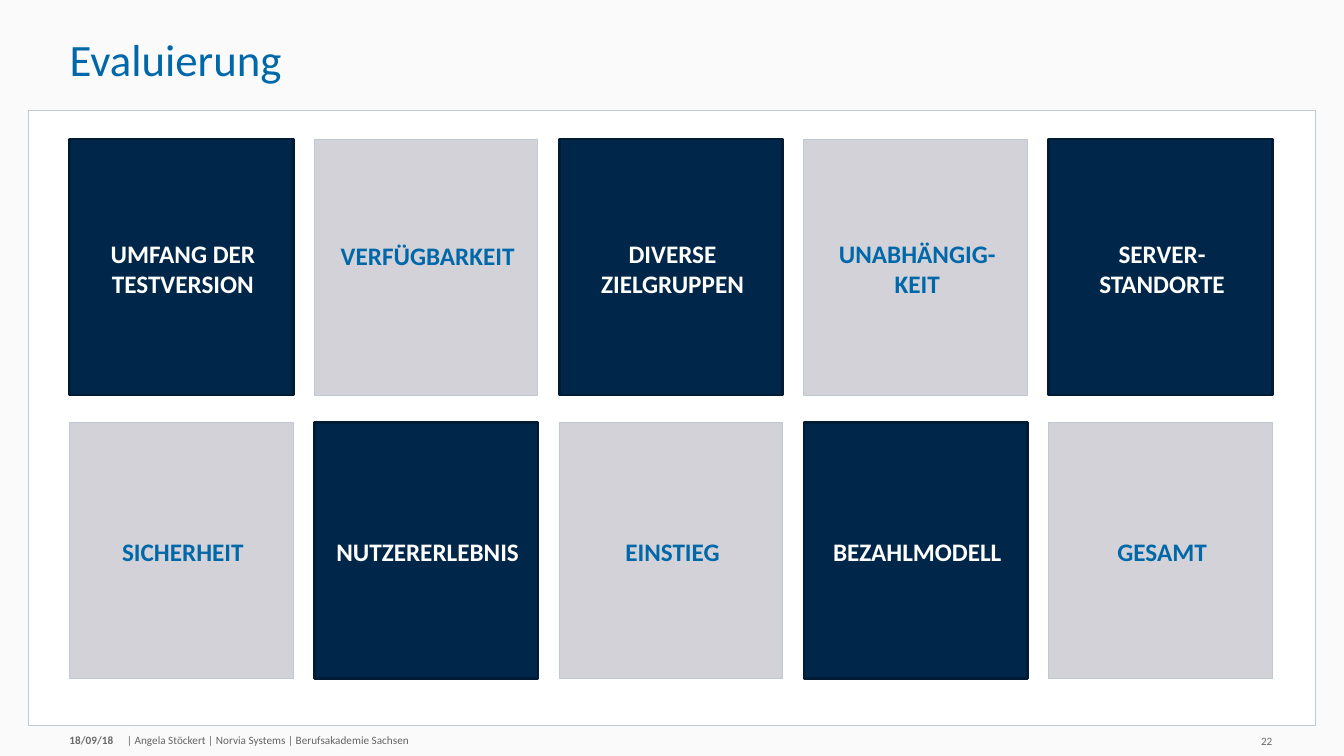
from dataclasses import dataclass

from pptx import Presentation
from pptx.dml.color import RGBColor
from pptx.enum.shapes import MSO_SHAPE
from pptx.enum.text import MSO_ANCHOR, PP_ALIGN
from pptx.util import Inches, Pt

RECT = MSO_SHAPE.RECTANGLE
MIDDLE = MSO_ANCHOR.MIDDLE
LEFT, CENTER, RIGHT = PP_ALIGN.LEFT, PP_ALIGN.CENTER, PP_ALIGN.RIGHT
TITLE_ONLY = 5


@dataclass(frozen=True)
class Theme:
    font: str = "Calibri"
    background: str = "FAFAFA"
    white: str = "FFFFFF"
    border: str = "BFC9D2"
    blue: str = "0068A9"
    navy: str = "002749"
    navy_border: str = "001C35"
    grey: str = "D3D2D8"
    date: str = "686868"
    author: str = "646464"
    title_size: int = 32
    tile_size: int = 18
    footer_size: int = 8


@dataclass(frozen=True)
class Grid:
    left: float = 0.69
    top: float = 1.38
    width: float = 2.22
    height: float = 2.54
    col_step: float = 2.43
    row_step: float = 2.81

    def cell(self, row, col):
        return (self.left + col * self.col_step, self.top + row * self.row_step,
                self.width, self.height)


THEME = Theme()
GRID = Grid()
TILE_INSETS = (0.17, 0.17, 0.14, 0.14)
RAISED_INSETS = (0.17, 0.17, 0.14, 0.4)
TILES = [
    [["UMFANG DER TESTVERSION"], ["VERFÜGBARKEIT"], ["DIVERSE ZIELGRUPPEN"],
     ["UNABHÄNGIG-", "KEIT"], ["SERVER-", "STANDORTE"]],
    [["SICHERHEIT"], ["NUTZERERLEBNIS"], ["EINSTIEG"], ["BEZAHLMODELL"], ["GESAMT"]],
]
FOOTER = [
    ((0.69, 7.28, 0.56, 0.13), "18/09/18", THEME.date, True, LEFT),
    ((1.26, 7.28, 4.67, 0.13), "| Angela Stöckert | Norvia Systems | Berufsakademie Sachsen",
     THEME.author, False, LEFT),
    ((12.32, 7.29, 0.31, 0.13), "22", THEME.date, False, RIGHT),
]


def inches(values):
    return [Inches(v) for v in values]


def set_text(sp, lines, size, color, bold=False, align=LEFT, insets=(0, 0, 0, 0), spacing=1.0):
    tf = sp.text_frame
    left, top, right, bottom = inches(insets)
    frame = {"word_wrap": True, "vertical_anchor": MIDDLE, "margin_left": left,
             "margin_top": top, "margin_right": right, "margin_bottom": bottom}
    for name, value in frame.items():
        setattr(tf, name, value)
    tf.text = "\n".join(lines)
    for p in tf.paragraphs:
        p.alignment, p.line_spacing = align, spacing
        font = p.runs[0].font
        for name, value in {"name": THEME.font, "size": Pt(size), "bold": bold}.items():
            setattr(font, name, value)
        font.color.rgb = RGBColor.from_string(color)


def add_box(s, at, fill, line, line_width):
    sp = s.shapes.add_shape(RECT, *inches(at))
    sp.shadow.inherit = False
    sp.fill.solid()
    sp.fill.fore_color.rgb = RGBColor.from_string(fill)
    sp.line.color.rgb = RGBColor.from_string(line)
    sp.line.width = Pt(line_width)
    return sp


def add_title(s, text):
    sp = s.shapes.title
    sp.left, sp.top, sp.width, sp.height = inches((GRID.left, 0.38, 10.7, 0.48))
    set_text(sp, [text], THEME.title_size, THEME.blue, spacing=0.9)


def add_tiles(s):
    """Dark and light tiles alternate like a chessboard."""
    for row, labels in enumerate(TILES):
        for col, lines in enumerate(labels):
            if (row + col) % 2 == 0:
                style, color = (THEME.navy, THEME.navy_border, 2), THEME.white
            else:
                style, color = (THEME.grey, THEME.border, 0.75), THEME.blue
            sp = add_box(s, GRID.cell(row, col), *style)
            insets = RAISED_INSETS if (row, col) == (0, 1) else TILE_INSETS
            set_text(sp, lines, THEME.tile_size, color, True, CENTER, insets)


def add_footer(s):
    for at, text, color, bold, align in FOOTER:
        sp = s.shapes.add_textbox(*inches(at))
        set_text(sp, [text], THEME.footer_size, color, bold, align)


def main():
    prs = Presentation()
    prs.slide_width, prs.slide_height = inches((13.34, 7.5))
    s = prs.slides.add_slide(prs.slide_layouts[TITLE_ONLY])
    s.background.fill.solid()
    s.background.fill.fore_color.rgb = RGBColor.from_string(THEME.background)
    add_box(s, (0.28, 1.1, 12.78, 6.1), THEME.white, THEME.border, 0.75)
    add_title(s, "Evaluierung")
    add_tiles(s)
    add_footer(s)
    prs.save("out.pptx")


if __name__ == "__main__":
    main()
